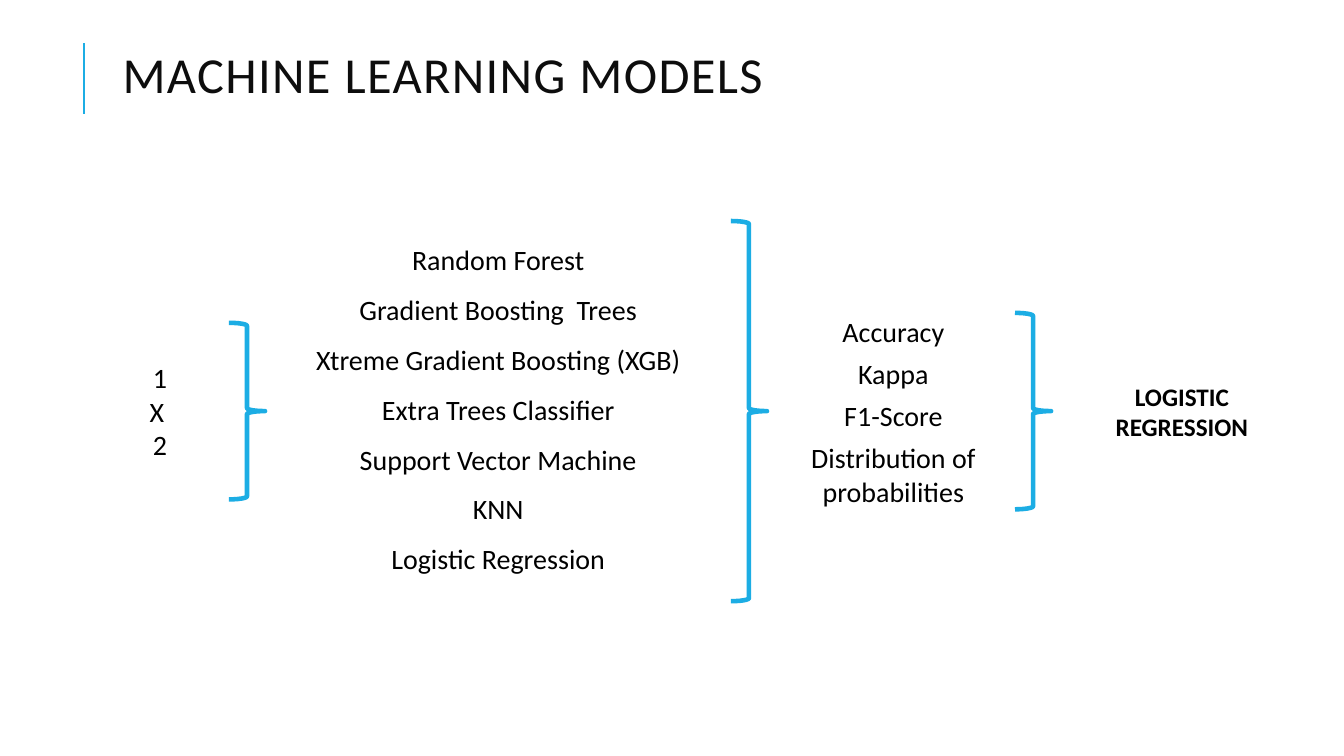
from lxml import etree
from pptx import Presentation
from pptx import util as u
from pptx.dml.color import RGBColor
from pptx.enum import shapes, text
from pptx.oxml.ns import qn

ACCENT = RGBColor(0x1C, 0xAD, 0xE4)
TITLE_INK = RGBColor(0x0D, 0x0D, 0x0D)
BLACK = RGBColor(0, 0, 0)
FONT = "Calibri"
FLOW_Y = 10.36  # every step of the flow is centred on this height, in cm
BRACE_WIDTH = 0.91

MODELS = ["Random Forest", "Gradient Boosting  Trees",
          "Xtreme Gradient Boosting (XGB)", "Extra Trees Classifier",
          "Support Vector Machine", "KNN", "Logistic Regression"]
METRICS = ["Accuracy", "Kappa", "F1-Score", "Distribution of probabilities"]
OUTCOMES = ["1", "X ", "2"]


def add_text(slide, left, top, width, height, lines, size=20, color=BLACK,
             bold=False, align=text.PP_ALIGN.CENTER, before=0):
    box = slide.shapes.add_textbox(u.Cm(left), u.Cm(top), u.Cm(width), u.Cm(height))
    frame = box.text_frame
    frame.word_wrap = True
    frame.vertical_anchor = text.MSO_ANCHOR.MIDDLE
    frame.text = "\n".join(lines)
    for paragraph in frame.paragraphs:
        paragraph.alignment = align
        paragraph.space_before = u.Pt(before)
        font = paragraph.font
        font.name, font.size, font.bold = FONT, u.Pt(size), bold
        font.color.rgb = color
    return frame


def add_step(slide, left, width, height, lines, **style):
    return add_text(slide, left, FLOW_Y - height / 2, width, height, lines, **style)


def add_brace(slide, left, height):
    brace = slide.shapes.add_shape(
        shapes.MSO_SHAPE.RIGHT_BRACE, u.Cm(left), u.Cm(FLOW_Y - height / 2),
        u.Cm(BRACE_WIDTH), u.Cm(height))
    brace.shadow.inherit = False
    brace.fill.background()
    brace.line.color.rgb = ACCENT
    brace.line.width = u.Pt(3.25)


def add_title(slide, title):
    rule = slide.shapes.add_connector(
        shapes.MSO_CONNECTOR.STRAIGHT, u.Cm(2.11), u.Cm(2.87), u.Cm(2.11), u.Cm(1.09))
    rule.line.color.rgb = ACCENT
    rule.line.width = u.Pt(1.5)
    etree.SubElement(rule._element.spPr, qn("a:effectLst"))

    heading = add_text(slide, 2.84, 1.09, 27, 1.78, [title], size=36,
                       color=TITLE_INK, align=text.PP_ALIGN.LEFT).paragraphs[0]
    heading.line_spacing = 0.8
    heading._p.get_or_add_pPr().get_or_add_defRPr().set("spc", "100")


def add_models(slide):
    frame = add_step(slide, 7.21, 10.34, 10.46, MODELS, before=12)
    frame.margin_left = frame.margin_right = u.Cm(0.13)
    frame.margin_top = frame.margin_bottom = u.Cm(0.13)
    for model in frame.paragraphs:
        model.line_spacing = 0.9
        model.space_after = u.Pt(2)
        # Blank bullet with a hanging indent
        properties = model._p.get_or_add_pPr()
        properties.set("marL", str(u.Cm(0.25)))
        properties.set("indent", str(-u.Cm(0.25)))
        bullet = etree.Element(qn("a:buChar"), char=" ")
        properties.get_or_add_defRPr().addprevious(bullet)


def main():
    deck = Presentation()
    deck.slide_width, deck.slide_height = u.Cm(33.87), u.Cm(19.05)
    slide = deck.slides.add_slide(deck.slide_layouts[6])

    add_title(slide, "MACHINE LEARNING MODELS")

    # Flow from outcomes through models and metrics to the chosen model
    add_step(slide, 2.64, 2.79, 2.82, OUTCOMES)
    add_brace(slide, 5.77, 4.45)
    add_models(slide)
    add_brace(slide, 18.42, 9.58)
    add_step(slide, 20.09, 4.85, 5.18, METRICS, before=6)
    add_brace(slide, 25.58, 4.95)
    add_step(slide, 27.36, 4.85, 1.8, ["LOGISTIC REGRESSION"], size=18, bold=True)

    deck.save("out.pptx")


if __name__ == "__main__":
    main()
